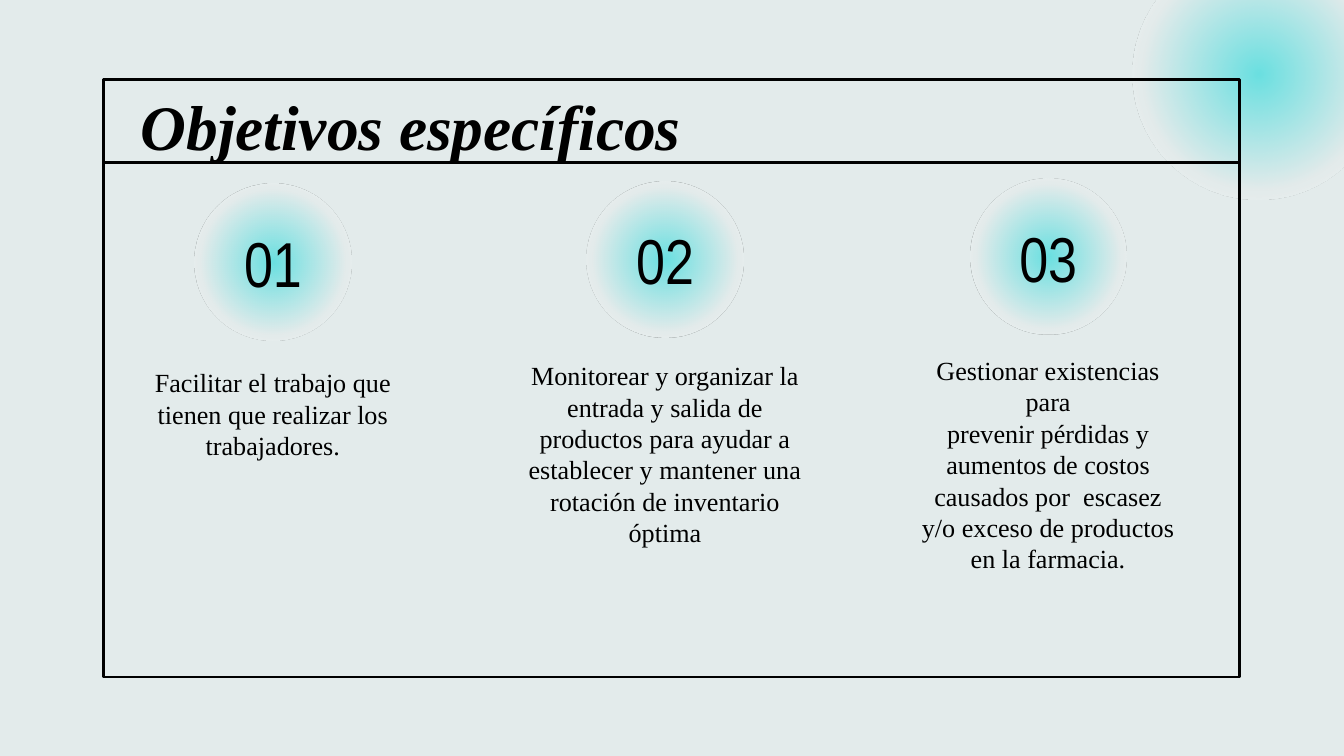
from dataclasses import dataclass

from pptx import Presentation
from pptx.dml.color import RGBColor
from pptx.enum.shapes import MSO_CONNECTOR as Conn, MSO_SHAPE as Form
from pptx.enum.text import MSO_ANCHOR as Anchor, PP_ALIGN as Align
from pptx.oxml import parse_xml
from pptx.oxml.ns import nsdecls, qn
from pptx.oxml.xmlchemy import OxmlElement as Element
from pptx.util import Cm, Pt

SERIF, NARROW = "Times New Roman", "Arial Narrow"
INK, PALE, AQUA, WHITE = "000000", "E3EBEB", "6AE0E1", "FFFFFF"
DISC = 2.95


@dataclass
class Goal:
    num: str
    mid: float
    top: float
    body: float
    width: float
    height: float
    text: str


GOALS = [
    Goal("01", 5.16, 3.48, 6.68, 5.84, 2.31,
         "Facilitar el trabajo que tienen que realizar los trabajadores."),
    Goal("02", 12.57, 3.43, 6.55, 5.97, 4.11,
         "Monitorear y organizar la entrada y salida de productos para ayudar "
         "a establecer y mantener una rotación de inventario óptima"),
    Goal("03", 19.81, 3.38, 6.45, 5.44, 5.33,
         "Gestionar existencias para\n"
         "prevenir pérdidas y aumentos de costos causados por  escasez "
         "y/o exceso de productos en la farmacia."),
]


def color(code: str) -> RGBColor:
    return RGBColor.from_string(code)


def glow(slide, x: float, y: float, size: float) -> None:
    """Draw a disc that fades out from its centre."""
    disc = slide.shapes.add_shape(Form.OVAL, Cm(x), Cm(y), Cm(size), Cm(size))
    disc.shadow.inherit = False
    disc.line.fill.background()
    fade = parse_xml(
        f'<a:gradFill {nsdecls("a")}><a:gsLst>'
        f'<a:gs pos="0"><a:srgbClr val="{AQUA}"/></a:gs>'
        f'<a:gs pos="65000"><a:srgbClr val="{PALE}"/></a:gs>'
        f'<a:gs pos="100000"><a:srgbClr val="{WHITE}"><a:alpha val="0"/></a:srgbClr></a:gs>'
        '</a:gsLst><a:path path="circle">'
        '<a:fillToRect l="50000" t="50000" r="50000" b="50000"/>'
        '</a:path></a:gradFill>')
    disc.element.spPr.find(qn("a:prstGeom")).addnext(fade)


def frame(slide, x: float, y: float, w: float, h: float, rule: float) -> None:
    """Draw the outlined panel and the rule below its heading."""
    box = slide.shapes.add_shape(Form.RECTANGLE, Cm(x), Cm(y), Cm(w), Cm(h))
    box.shadow.inherit = False
    box.fill.background()
    line = slide.shapes.add_connector(
        Conn.STRAIGHT, Cm(x), Cm(rule), Cm(x + w), Cm(rule))
    line.element.spPr.append(Element("a:effectLst"))
    for item in (box, line):
        item.line.color.rgb = color(INK)
        item.line.width = Pt(1.5)
    # The effect list has to follow the line settings.
    line.element.spPr.append(line.element.spPr.find(qn("a:effectLst")))


def label(slide, x: float, y: float, w: float, h: float, text: str, face: str,
          size: int, align=Align.CENTER, anchor=Anchor.MIDDLE, strong=False) -> None:
    box = slide.shapes.add_textbox(Cm(x), Cm(y), Cm(w), Cm(h))
    body = box.text_frame
    body.word_wrap = True
    body.vertical_anchor = anchor
    body.margin_left = body.margin_right = Cm(0.25)
    body.margin_top = body.margin_bottom = Cm(0.25)
    body.text = text
    for para in body.paragraphs:
        para.alignment = align
        for run in para.runs:
            font = run.font
            font.name, font.size = face, Pt(size)
            font.bold = font.italic = strong
            font.color.rgb = color(INK)


def column(slide, goal: Goal) -> None:
    glow(slide, goal.mid - DISC / 2, goal.top, DISC)
    label(slide, goal.mid - 1.12, goal.top + 0.93, 2.24, 1.09,
          goal.num, NARROW, 34)
    label(slide, goal.mid - goal.width / 2, goal.body, goal.width, goal.height,
          goal.text, SERIF, 14, anchor=Anchor.TOP)


def main() -> None:
    deck = Presentation()
    deck.slide_width, deck.slide_height = Cm(25.4), Cm(14.29)
    slide = deck.slides.add_slide(deck.slide_layouts[6])
    back = slide.background.fill
    back.solid()
    back.fore_color.rgb = color(PALE)

    glow(slide, 21.41, -0.97, 4.75)
    frame(slide, 1.96, 1.5, 21.46, 11.3, rule=3.07)
    label(slide, 2.41, 1.5, 20.52, 1.75, "Objetivos específicos", SERIF, 34,
          align=Align.LEFT, strong=True)
    for goal in GOALS:
        column(slide, goal)
    deck.save("out.pptx")


if __name__ == "__main__":
    main()
